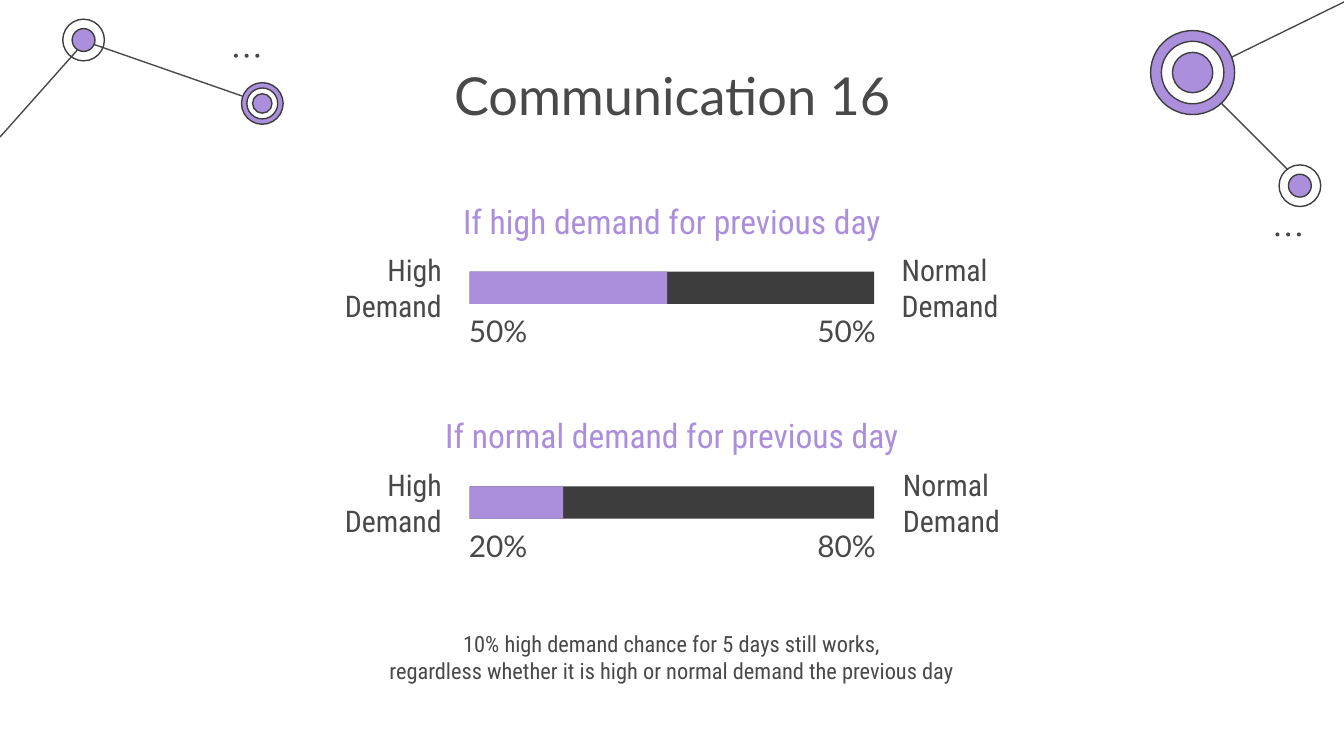
from lxml import etree
from pptx import Presentation
from pptx import util as u
from pptx.dml.color import RGBColor
from pptx.enum import shapes, text
from pptx.oxml import ns

PURPLE = RGBColor(0xAB, 0x8F, 0xDC)
DARK = RGBColor(0x3D, 0x3D, 0x3D)
GREY = RGBColor(0x49, 0x49, 0x49)
WHITE = RGBColor(0xFF, 0xFF, 0xFF)
LATO, ROBOTO = "Lato", "Roboto Condensed"
LEFT, CENTER, RIGHT = text.PP_ALIGN.LEFT, text.PP_ALIGN.CENTER, text.PP_ALIGN.RIGHT
TOP, MIDDLE, BOTTOM = text.MSO_ANCHOR.TOP, text.MSO_ANCHOR.MIDDLE, text.MSO_ANCHOR.BOTTOM
OVAL, BAR = shapes.MSO_SHAPE.OVAL, shapes.MSO_SHAPE.RECTANGLE

deck = Presentation()
deck.slide_width = u.Inches(10)
deck.slide_height = deck.slide_width * 9 // 16
COL, ROW = deck.slide_width / 100, deck.slide_height / 56.25
slide = deck.slides.add_slide(deck.slide_layouts[5])


def write(words, left, top, width, height, font=ROBOTO, size=16, color=GREY,
          align=CENTER, anchor=MIDDLE, holder=None):
    holder = holder or slide.shapes.add_textbox(0, 0, 0, 0)
    holder.left, holder.top = int(left * COL), int(top * ROW)
    holder.width, holder.height = int(width * COL), int(height * ROW)
    frame = holder.text_frame
    frame.text = words
    frame.word_wrap = True
    frame.auto_size = text.MSO_AUTO_SIZE.NONE
    frame.vertical_anchor = anchor
    frame.margin_left = frame.margin_right = frame.margin_top = frame.margin_bottom = u.Inches(0.1)
    for line in frame.paragraphs:
        line.alignment = align
        for run in line.runs:
            run.font.name, run.font.size, run.font.color.rgb = font, u.Pt(size), color


def draw(kind, left, top, width, height, fill, outline=None):
    part = slide.shapes.add_shape(kind, int(left * COL), int(top * ROW),
                                  int(width * COL), int(height * ROW))
    part.shadow.inherit = False
    if fill is None:
        part.fill.background()
    else:
        part.fill.solid()
        part.fill.fore_color.rgb = fill
    if outline is None:
        part.line.fill.background()
    else:
        part.line.color.rgb, part.line.width = outline, u.Pt(0.75)


links = [(96.7, 13.5, 88.7, 5.5), (6.4, 3.1, 19.6, 7.7), (0, 10.2, 6.4, 3), (100.1, 0.1, 89.1, 5.5)]
for x1, y1, x2, y2 in links:
    link = slide.shapes.add_connector(shapes.MSO_CONNECTOR.STRAIGHT, int(x1 * COL), int(y1 * ROW),
                                      int(x2 * COL), int(y2 * ROW))
    link.line.color.rgb, link.line.width = GREY, u.Pt(0.75)
    etree.SubElement(link._element.spPr, ns.qn("a:effectLst"))

nodes = [
    (6.22, 2.98, [(3.1, None), (1.7, PURPLE)]),
    (19.52, 7.7, [(3.1, PURPLE), (2.3, WHITE), (1.45, PURPLE)]),
    (88.74, 5.4, [(6.25, PURPLE), (4.65, WHITE), (3, PURPLE)]),
    (96.72, 13.82, [(3.1, WHITE), (1.7, PURPLE)]),
]
for x, y, rings in nodes:
    for size, fill in rings:
        draw(OVAL, x - size / 2, y - size / 2, size, size, fill, DARK)

for first, top in [(17.4, 4), (94.9, 17.3)]:
    for dot in range(3):
        draw(OVAL, first + 0.8 * dot, top, 0.3, 0.3, GREY)

write("Communication 16", 7.9, 3.7, 84.2, 6.3, font=LATO, size=28, anchor=TOP,
      holder=slide.shapes.title)

BAR_LEFT, BAR_WIDTH, BLOCK_STEP = 34.95, 30.1, 15.97
cases = [
    ("If high demand for previous day", "50%", "50%", 14.7, 66.1),
    ("If normal demand for previous day", "20%", "80%", 6.95, 66.2),
]
for index, (heading, high, normal, high_width, normal_left) in enumerate(cases):
    top = 14.62 + index * BLOCK_STEP
    write(heading, 31, top, 38, 3.6, size=18, color=PURPLE)
    write(high, 33.9, top + 8.23, 6.8, 4.1, font=LATO, align=LEFT, anchor=BOTTOM)
    write(normal, 59.35, top + 8.23, 6.8, 4.1, font=LATO, align=RIGHT, anchor=BOTTOM)
    draw(BAR, BAR_LEFT, top + 5.6, BAR_WIDTH, 2.4, DARK)
    draw(BAR, BAR_LEFT, top + 5.6, high_width, 2.4, PURPLE)
    write("High Demand", 23.05, top + 5.03, 10.8, 3.5, align=RIGHT)
    write("Normal Demand", normal_left, top + 5.03, 10.8, 3.5, align=LEFT)

write("10% high demand chance for 5 days still works,\n"
      "regardless whether it is high or normal demand the previous day",
      27.73, 45.9, 44.5, 6, size=12)

deck.save("out.pptx")
